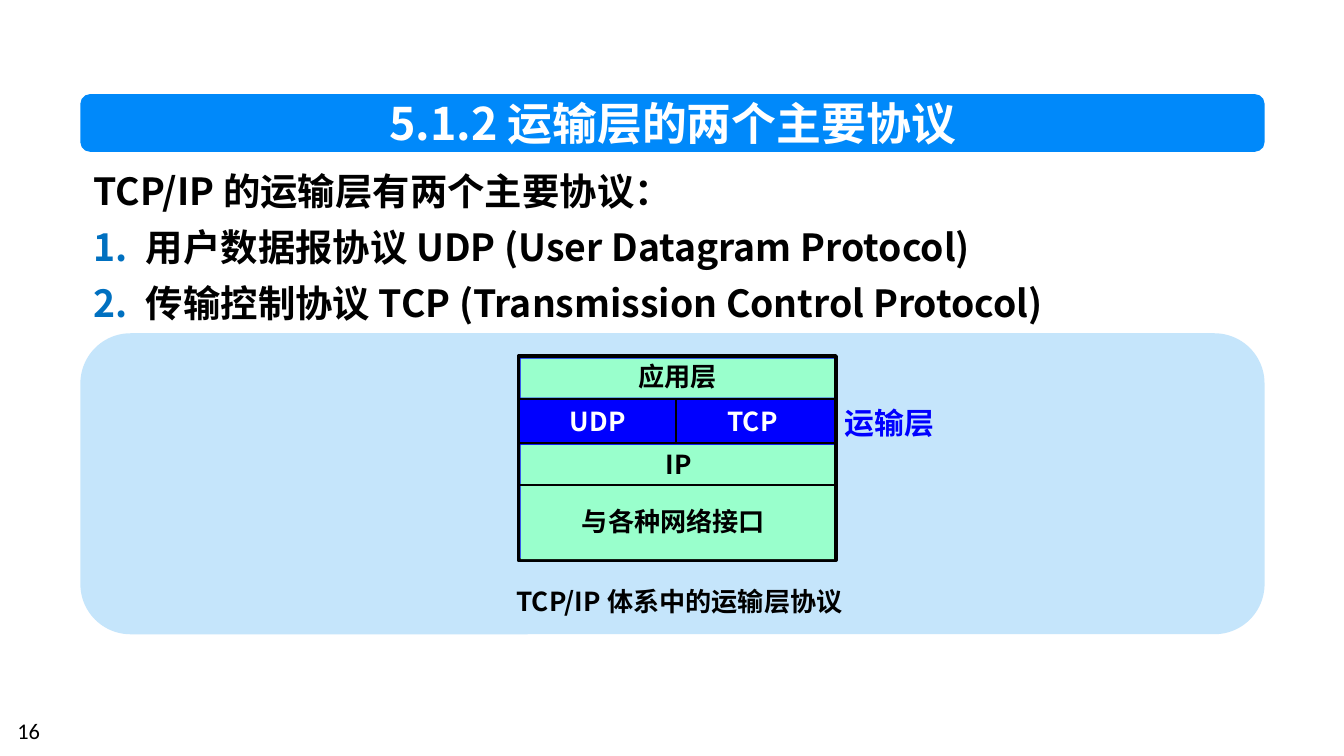
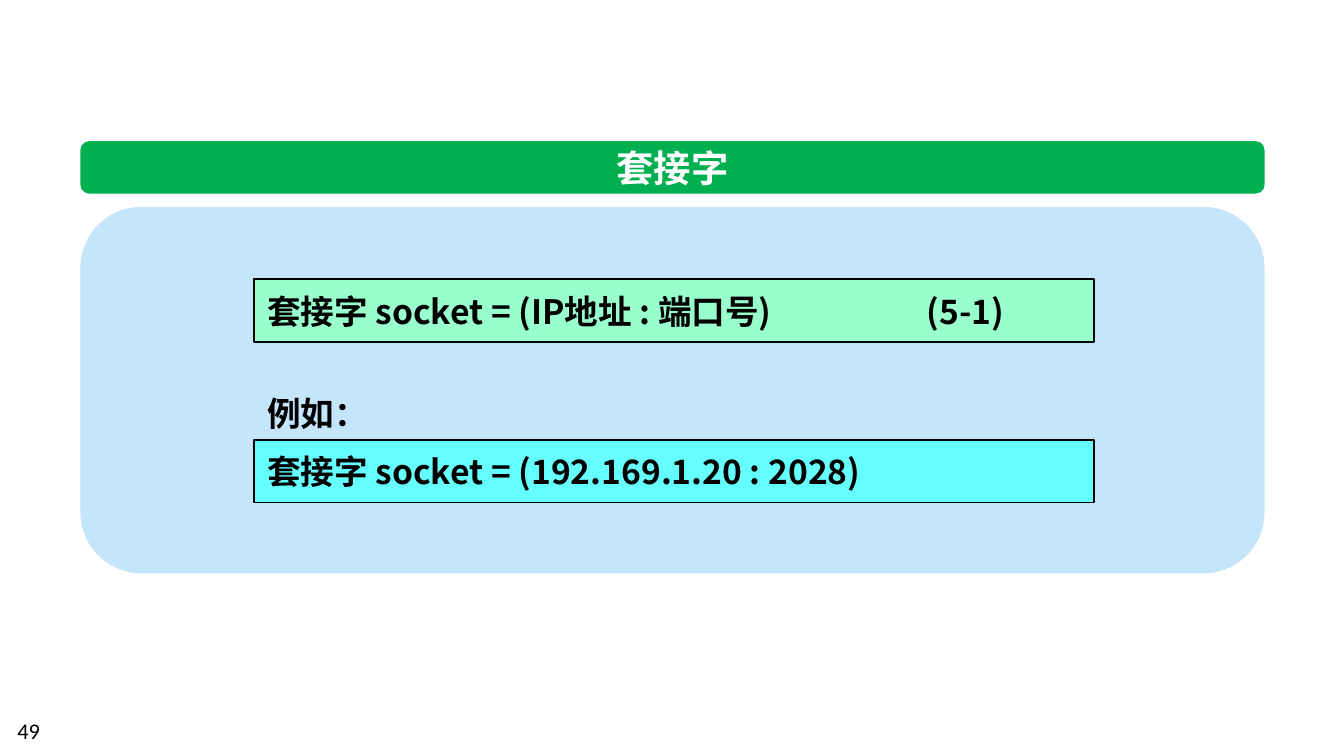
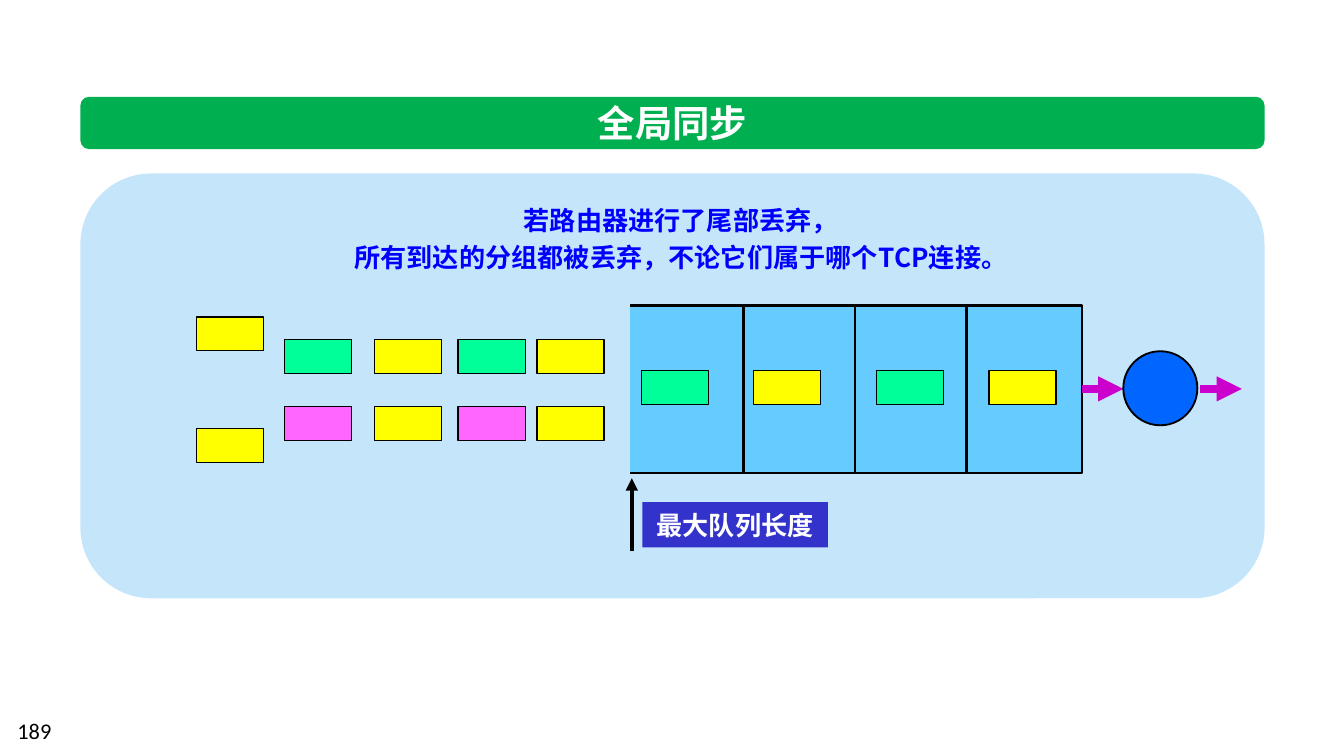
from dataclasses import dataclass

from lxml import etree
from pptx import Presentation
from pptx.dml.color import RGBColor
from pptx.enum import shapes, text
from pptx.oxml import ns
from pptx.util import Cm, Pt


@dataclass(frozen=True)
class Theme:
    font: str = "Noto Sans CJK SC"
    number_font: str = "Calibri"
    black: str = "000000"
    white: str = "FFFFFF"
    section: str = "0089FA"
    topic: str = "00B050"
    panel: str = "C5E5FB"
    numeral: str = "0070C0"
    blue: str = "0000FF"
    mint: str = "99FFCC"
    cyan: str = "66FFFF"
    queue: str = "66CCFF"
    router: str = "0066FF"
    flow: str = "CC00CC"
    tag: str = "3333CC"
    yellow: str = "FFFF00"
    green: str = "00FF99"
    pink: str = "FF66FF"
    section_size: int = 24
    topic_size: int = 20
    formula_size: int = 18
    side_size: int = 16
    label_size: int = 14
    page_size: int = 12


THEME = Theme()
MARGIN, CONTENT_WIDTH = 1.52, 22.38
LEFT, CENTER = text.PP_ALIGN.LEFT, text.PP_ALIGN.CENTER
TOP, MIDDLE = text.MSO_ANCHOR.TOP, text.MSO_ANCHOR.MIDDLE
RECT = shapes.MSO_SHAPE.RECTANGLE
ROUNDED = shapes.MSO_SHAPE.ROUNDED_RECTANGLE


def rgb(code):
    return RGBColor.from_string(code)


def add_child(parent, tag, **attributes):
    return etree.SubElement(parent, ns.qn(tag), attributes)


def number_paragraph(paragraph):
    """Give a paragraph a hanging, coloured automatic number."""
    properties = paragraph._p.get_or_add_pPr()
    properties.set("marL", str(Cm(0.99)))
    properties.set("indent", str(-Cm(0.99)))
    add_child(add_child(properties, "a:buClr"), "a:srgbClr", val=THEME.numeral)
    add_child(properties, "a:buAutoNum", type="arabicPeriod")


def add_tab_stop(paragraph, position):
    stops = add_child(paragraph._p.get_or_add_pPr(), "a:tabLst")
    add_child(stops, "a:tab", pos=str(Cm(position)), algn="l")


def set_font(paragraph, size, color, face=THEME.font, bold=True):
    font = paragraph.font
    font.size, font.bold, font.name = Pt(size), bold, face
    font.color.rgb = rgb(color)
    defaults = paragraph._p.pPr.find(ns.qn("a:defRPr"))
    add_child(defaults, "a:ea", typeface=face)


def write(frame, lines, size, color=THEME.black, align=LEFT, anchor=TOP,
          spacing=None, wrap=True, numbered_from=None, tab=None, **font):
    """Fill a frame; lines from index numbered_from on get numbers."""
    frame.word_wrap = wrap
    frame.vertical_anchor = anchor
    for index, line in enumerate(lines):
        paragraph = frame.paragraphs[0] if index == 0 else frame.add_paragraph()
        paragraph.text = line
        paragraph.alignment = align
        if spacing:
            paragraph.line_spacing = Pt(spacing)
        if numbered_from is not None and index >= numbered_from:
            number_paragraph(paragraph)
        if tab:
            add_tab_stop(paragraph, tab)
        set_font(paragraph, size, color, **font)


def add_text(slide, left, top, width, height, lines, size, **style):
    box = slide.shapes.add_textbox(Cm(left), Cm(top), Cm(width), Cm(height))
    write(box.text_frame, lines, size, **style)


def paint(shape, fill, line_width=None):
    shape.shadow.inherit = False
    shape.fill.solid()
    shape.fill.fore_color.rgb = rgb(fill)
    if line_width:
        shape.line.color.rgb = rgb(THEME.black)
        shape.line.width = Pt(line_width)
    else:
        shape.line.fill.background()


def add_block(slide, left, top, width, height, fill, line_width=None, kind=RECT):
    block = slide.shapes.add_shape(kind, Cm(left), Cm(top), Cm(width), Cm(height))
    paint(block, fill, line_width)
    return block


def add_line(slide, x1, y1, x2, y2, width, color=THEME.black, arrow=False):
    line = slide.shapes.add_connector(
        shapes.MSO_CONNECTOR.STRAIGHT, Cm(x1), Cm(y1), Cm(x2), Cm(y2))
    line.line.color.rgb = rgb(color)
    line.line.width = Pt(width)
    if arrow:
        add_child(line.line._get_or_add_ln(), "a:tailEnd", type="triangle")
    add_child(line._element.spPr, "a:effectLst")


def add_panel(slide, top, height):
    add_block(slide, MARGIN, top, CONTENT_WIDTH, height, THEME.panel, kind=ROUNDED)


def start_slide(deck, title, page, band_top, band_height, title_width,
                title_height, color=THEME.topic, size=THEME.topic_size):
    """Add a slide with its title on a coloured band and its page number."""
    slide = deck.slides.add_slide(deck.slide_layouts[5])
    band = add_block(slide, MARGIN, band_top, CONTENT_WIDTH, band_height,
                     color, kind=ROUNDED)
    slide.shapes._spTree.insert(2, band._element)
    heading = slide.shapes.title
    heading.left = Cm(MARGIN + (CONTENT_WIDTH - title_width) / 2)
    heading.top = Cm(band_top + (band_height - title_height) / 2)
    heading.width, heading.height = Cm(title_width), Cm(title_height)
    write(heading.text_frame, [title], size, color=THEME.white, align=CENTER,
          anchor=MIDDLE, wrap=False)
    heading.text_frame.auto_size = text.MSO_AUTO_SIZE.NONE
    add_text(slide, 0.08, 13.44, 5.92, 0.76, [page], THEME.page_size,
             face=THEME.number_font, bold=False)
    return slide


def add_protocol_stack(slide):
    left, top, width = 9.8, 6.73, 6
    transport_top, transport_bottom, ip_bottom = 7.54, 8.38, 9.17
    add_block(slide, left, top, width, 3.86, THEME.blue, 2)
    for layer_top, height in ((6.78, 0.74), (8.41, 2.16)):
        add_block(slide, 9.84, layer_top, 5.92, height, THEME.mint)
    for y in (transport_top, transport_bottom, ip_bottom):
        add_line(slide, left, y, left + width, y, 1)
    add_line(slide, 12.78, transport_top, 12.78, transport_bottom, 1)

    for label, center, label_top, label_width, color in (
            ("应用层", 12.81, 6.68, 2, THEME.black),
            ("UDP", 11.3, 7.54, 1.62, THEME.white),
            ("TCP", 14.22, 7.54, 1.48, THEME.white),
            ("IP", 12.83, 8.36, 1.02, THEME.black),
            ("与各种网络接口", 12.73, 9.42, 5.08, THEME.black)):
        add_text(slide, center - label_width / 2, label_top, label_width, 0.84,
                 [label], THEME.label_size, color=color, align=CENTER, wrap=False)
    add_text(slide, 15.72, 7.52, 2.24, 0.94, ["运输层"], THEME.side_size,
             color=THEME.blue, wrap=False)


def build_protocols(deck):
    slide = start_slide(deck, "5.1.2 运输层的两个主要协议", "16", 1.78, 1.09,
                        13, 1.27, THEME.section, THEME.section_size)
    add_text(slide, MARGIN, 2.84, 21.29, 3.45,
             ["TCP/IP 的运输层有两个主要协议：",
              "用户数据报协议 UDP (User Datagram Protocol)",
              "传输控制协议 TCP (Transmission Control Protocol)"],
             THEME.topic_size, spacing=30, numbered_from=1)
    add_panel(slide, 6.3, 5.69)
    add_protocol_stack(slide)
    add_text(slide, 6.43, 10.95, 12.83, 0.86, ["TCP/IP 体系中的运输层协议"],
             THEME.label_size, align=CENTER)


def build_socket(deck):
    slide = start_slide(deck, "套接字", "49", 2.67, 0.99, 5.72, 1.12)
    add_panel(slide, 3.91, 6.93)
    for formula, top, fill in (
            ("套接字 socket = (IP地址 : 端口号)\t(5-1)", 5.28, THEME.mint),
            ("套接字 socket = (192.169.1.20 : 2028)", 8.31, THEME.cyan)):
        box = add_block(slide, 4.8, top, 15.88, 1.19, fill, 1)
        write(box.text_frame, [formula], THEME.formula_size, anchor=MIDDLE,
              tab=12.47 if "\t" in formula else None)
    add_text(slide, 4.8, 7.21, 15.47, 1.04, ["例如："], THEME.formula_size,
             spacing=24)


def add_packet(slide, left, top, color):
    add_block(slide, left, top, 1.27, 0.64, color, 0.75)


def add_queue(slide):
    left, right, top, bottom = 11.91, 20.45, 5.77, 8.94
    outline = slide.shapes.build_freeform(Cm(left), Cm(bottom))
    outline.add_line_segments(
        [(Cm(right), Cm(bottom)), (Cm(right), Cm(top)), (Cm(left), Cm(top))],
        close=False)
    paint(outline.convert_to_shape(), THEME.queue, 1.5)
    for slot in range(3):
        x = 14.05 + 2.11 * slot
        add_line(slide, x, top, x, bottom, 1.5)

    flow_y = 7.35
    add_line(slide, right, flow_y, 21.23, flow_y, 4.5, THEME.flow, arrow=True)
    add_block(slide, 21.23, 6.64, 1.4, 1.4, THEME.router, 1,
              kind=shapes.MSO_SHAPE.OVAL)
    add_line(slide, 22.68, flow_y, 23.47, flow_y, 4.5, THEME.flow, arrow=True)


def build_synchronization(deck):
    slide = start_slide(deck, "全局同步", "189", 1.83, 0.99, 3.35, 1.12)
    add_panel(slide, 3.28, 8.03)
    add_text(slide, 4.6, 3.61, 16.54, 1.68,
             ["若路由器进行了尾部丢弃，",
              "所有到达的分组都被丢弃，不论它们属于哪个TCP连接。"],
             THEME.label_size, color=THEME.blue, align=CENTER, anchor=MIDDLE,
             spacing=20)
    yellow, green, pink = THEME.yellow, THEME.green, THEME.pink
    for left, upper, lower in ((5.38, green, pink), (7.08, yellow, yellow),
                               (8.66, green, pink), (10.15, yellow, yellow)):
        add_packet(slide, left, 6.42, upper)
        add_packet(slide, left, 7.69, lower)
    for top in (5.99, 8.1):
        add_packet(slide, 3.71, top, yellow)

    add_queue(slide)
    for left, color in ((12.12, green), (14.24, yellow),
                        (16.56, green), (18.69, yellow)):
        add_packet(slide, left, 7.01, color)

    add_line(slide, 11.94, 10.41, 11.94, 9.04, 2.25, arrow=True)
    limit = add_block(slide, 12.14, 9.49, 3.51, 0.86, THEME.tag)
    write(limit.text_frame, ["最大队列长度"], THEME.label_size,
          color=THEME.white, align=CENTER, anchor=MIDDLE, wrap=False)


def main():
    deck = Presentation()
    deck.slide_width, deck.slide_height = Cm(25.4), Cm(14.29)
    build_protocols(deck)
    build_socket(deck)
    build_synchronization(deck)
    deck.save("out.pptx")


if __name__ == "__main__":
    main()
